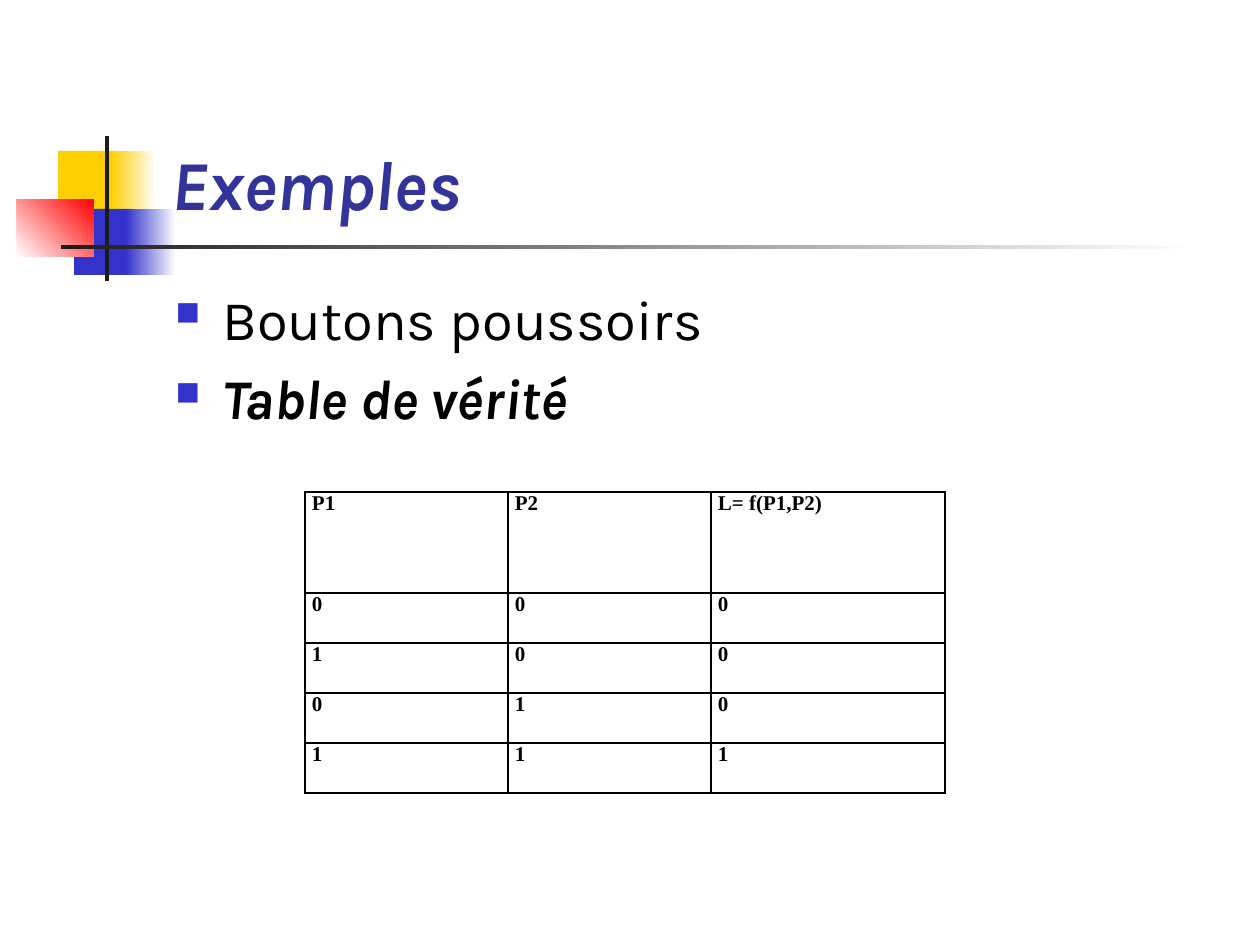
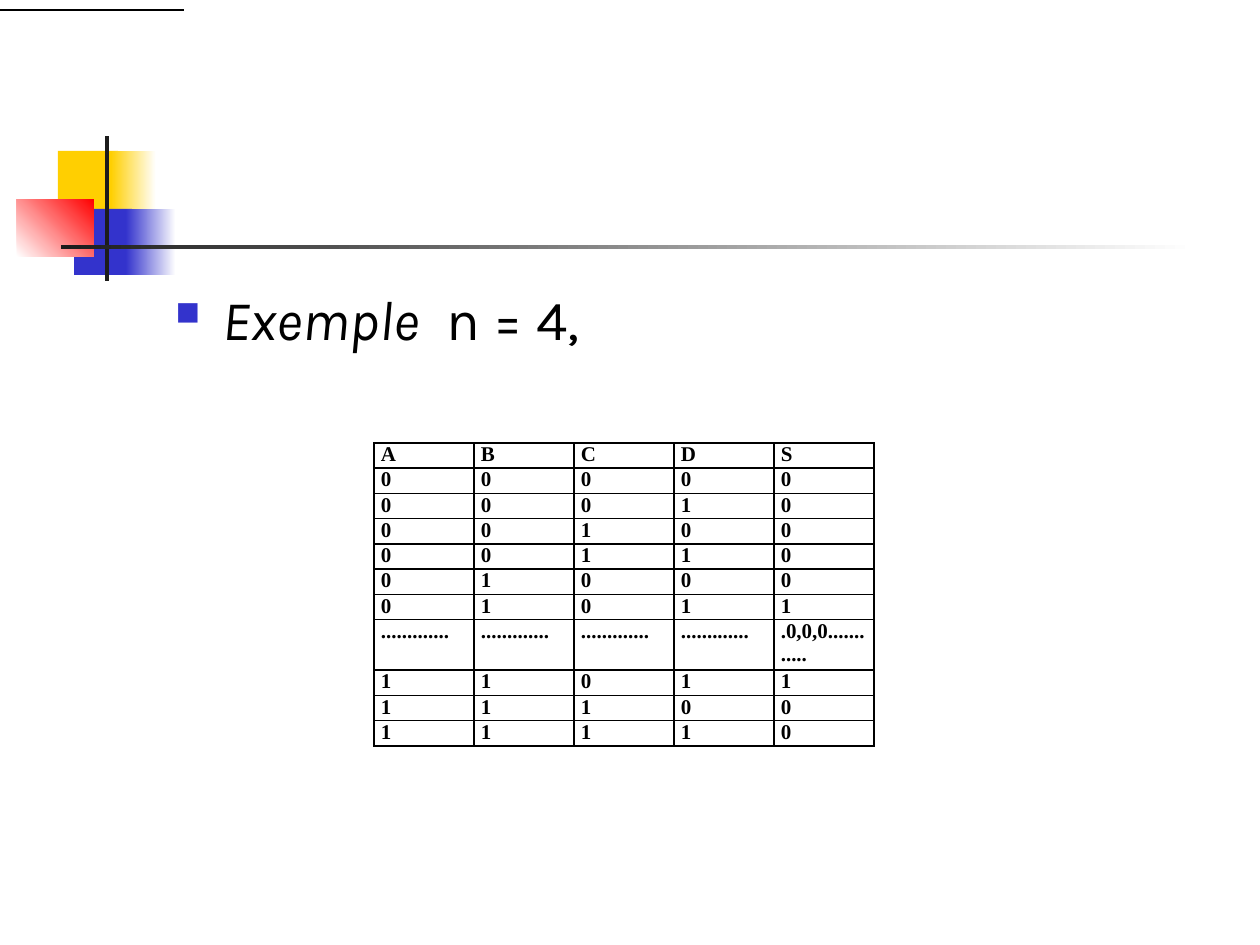
from dataclasses import dataclass

from lxml.etree import SubElement
from pptx import Presentation
from pptx.dml.color import RGBColor
from pptx.enum.shapes import MSO_CONNECTOR as Connector, MSO_SHAPE as Shape
from pptx.enum.text import MSO_ANCHOR as Anchor, MSO_AUTO_SIZE as AutoSize, PP_ALIGN as Align
from pptx.oxml.ns import qn
from pptx.slide import Slide
from pptx.util import Emu, Pt

PIXELS_PER_INCH = 126
TITLE_ONLY, BLANK = 5, 6
HEADING_FONT, TABLE_FONT = "Karla", "Times New Roman"
BLACK, WHITE, INK = "000000", "FFFFFF", "1C1C1C"
YELLOW, BLUE, RED, NAVY = "FFCF01", "3333CC", "FF0000", "333399"


@dataclass(frozen=True)
class Block:
    left: int
    top: int
    width: int
    height: int
    color: str
    fade_to: str = ""
    angle: int = 0


@dataclass(frozen=True)
class Phrase:
    text: str
    bold: bool = False
    italic: bool = False


@dataclass(frozen=True)
class TruthTable:
    left: int
    top: int
    columns: list[int]
    heights: list[int]
    rows: list[list[str]]


MOTIF = [
    Block(58, 151, 60, 66, YELLOW),
    Block(111, 151, 45, 66, YELLOW, WHITE),
    Block(74, 209, 58, 66, BLUE),
    Block(126, 209, 50, 66, BLUE, WHITE),
    Block(17, 199, 77, 58, WHITE, RED, 45),
    Block(105, 136, 4, 145, INK),
    Block(61, 245, 1134, 4, INK, WHITE),
]

BUTTONS = TruthTable(
    305, 492, [203, 203, 234], [101] + [50] * 4,
    [["P1", "P2", "L= f(P1,P2)"]] + [list(bits) for bits in ("000", "100", "010", "111")],
)

DOTS = "." * 13
FOUR_INPUTS = TruthTable(
    374, 443, [100] * 5, [23] * 7 + [47] + [23] * 3,
    [list(bits) for bits in ("ABCDS", "00000", "00010", "00100", "00110", "01000", "01011")]
    + [[DOTS] * 4 + [".0,0,0" + "." * 12]]
    + [list(bits) for bits in ("11011", "11100", "11110")],
)


def px(pixels: int) -> Emu:
    return Emu(round(pixels * 914400 / PIXELS_PER_INCH))


def rgb(color: str) -> RGBColor:
    return RGBColor.from_string(color)


def set_font(font, name: str, size: int, color: str) -> None:
    font.name = name
    font.size = Pt(size)
    font.color.rgb = rgb(color)


def draw_motif(slide: Slide) -> None:
    for block in MOTIF:
        square = slide.shapes.add_shape(
            Shape.RECTANGLE, px(block.left), px(block.top), px(block.width), px(block.height))
        square.shadow.inherit = False
        square.line.fill.background()
        if block.fade_to:
            square.fill.gradient()
            square.fill.gradient_angle = block.angle
            for stop, color in zip(square.fill.gradient_stops, (block.color, block.fade_to)):
                stop.color.rgb = rgb(color)
        else:
            square.fill.solid()
            square.fill.fore_color.rgb = rgb(block.color)


def write_title(slide: Slide, text: str) -> None:
    title = slide.shapes.title
    title.left, title.top, title.width, title.height = px(159), px(29), px(1074), px(202)
    frame = title.text_frame
    frame.text = text
    frame.auto_size = AutoSize.NONE
    frame.vertical_anchor = Anchor.BOTTOM
    heading = frame.paragraphs[0]
    heading.alignment = Align.LEFT
    set_font(heading.font, HEADING_FONT, 40, NAVY)
    heading.font.bold = heading.font.italic = True


def add_square_bullet(paragraph) -> None:
    properties = paragraph._p.get_or_add_pPr()
    properties.set("marL", str(px(47)))
    properties.set("indent", str(px(-47)))
    SubElement(SubElement(properties, qn("a:buClr")), qn("a:srgbClr"), val=BLUE)
    SubElement(properties, qn("a:buSzPct"), val="60000")
    SubElement(properties, qn("a:buChar"), char="■")


def write_bullets(slide: Slide, bullets: list[list[Phrase]]) -> None:
    frame = slide.shapes.add_textbox(px(163), px(278), px(1071), px(567)).text_frame
    frame.word_wrap = True
    for index, phrases in enumerate(bullets):
        paragraph = frame.add_paragraph() if index else frame.paragraphs[0]
        paragraph.space_before = Pt(7)
        add_square_bullet(paragraph)
        set_font(paragraph.font, HEADING_FONT, 32, BLACK)
        for phrase in phrases:
            run = paragraph.add_run()
            run.text = phrase.text
            run.font.bold, run.font.italic = phrase.bold, phrase.italic


def add_borders(cell) -> None:
    properties = cell._tc.get_or_add_tcPr()
    for position, side in enumerate(("lnL", "lnR", "lnT", "lnB")):
        border = SubElement(properties, qn(f"a:{side}"), w=str(Pt(1)))
        SubElement(SubElement(border, qn("a:solidFill")), qn("a:srgbClr"), val=BLACK)
        properties.insert(position, border)


def draw_truth_table(slide: Slide, truth: TruthTable) -> None:
    table = slide.shapes.add_table(
        len(truth.rows), len(truth.columns), px(truth.left), px(truth.top),
        px(sum(truth.columns)), px(sum(truth.heights))).table
    table.first_row = table.horz_banding = False
    for column, width in zip(table.columns, truth.columns):
        column.width = px(width)
    for row, height, values in zip(table.rows, truth.heights, truth.rows):
        row.height = px(height)
        for cell, value in zip(row.cells, values):
            cell.text = value
            cell.fill.background()
            cell.margin_left = cell.margin_right = px(7)
            cell.margin_top = cell.margin_bottom = 0
            paragraph = cell.text_frame.paragraphs[0]
            paragraph.alignment = Align.JUSTIFY
            set_font(paragraph.font, TABLE_FONT, 12, BLACK)
            paragraph.font.bold = True
            add_borders(cell)


def draw_corner_rule(slide: Slide) -> None:
    rule = slide.shapes.add_connector(Connector.STRAIGHT, px(-8), px(10), px(184), px(10))
    rule.line.color.rgb = rgb(BLACK)
    rule.line.width = Pt(0.75)
    SubElement(rule._element.spPr, qn("a:effectLst"))


def main() -> None:
    deck = Presentation()
    deck.slide_width, deck.slide_height = px(1260), px(945)

    buttons = deck.slides.add_slide(deck.slide_layouts[TITLE_ONLY])
    draw_motif(buttons)
    write_title(buttons, "Exemples")
    write_bullets(buttons, [
        [Phrase("Boutons poussoirs")],
        [Phrase("Table de vérité", bold=True, italic=True)],
    ])
    draw_truth_table(buttons, BUTTONS)

    four_inputs = deck.slides.add_slide(deck.slide_layouts[BLANK])
    draw_motif(four_inputs)
    write_bullets(four_inputs, [[Phrase("Exemple", italic=True), Phrase("  n = 4,")]])
    draw_truth_table(four_inputs, FOUR_INPUTS)
    draw_corner_rule(four_inputs)

    deck.save("out.pptx")


main()
